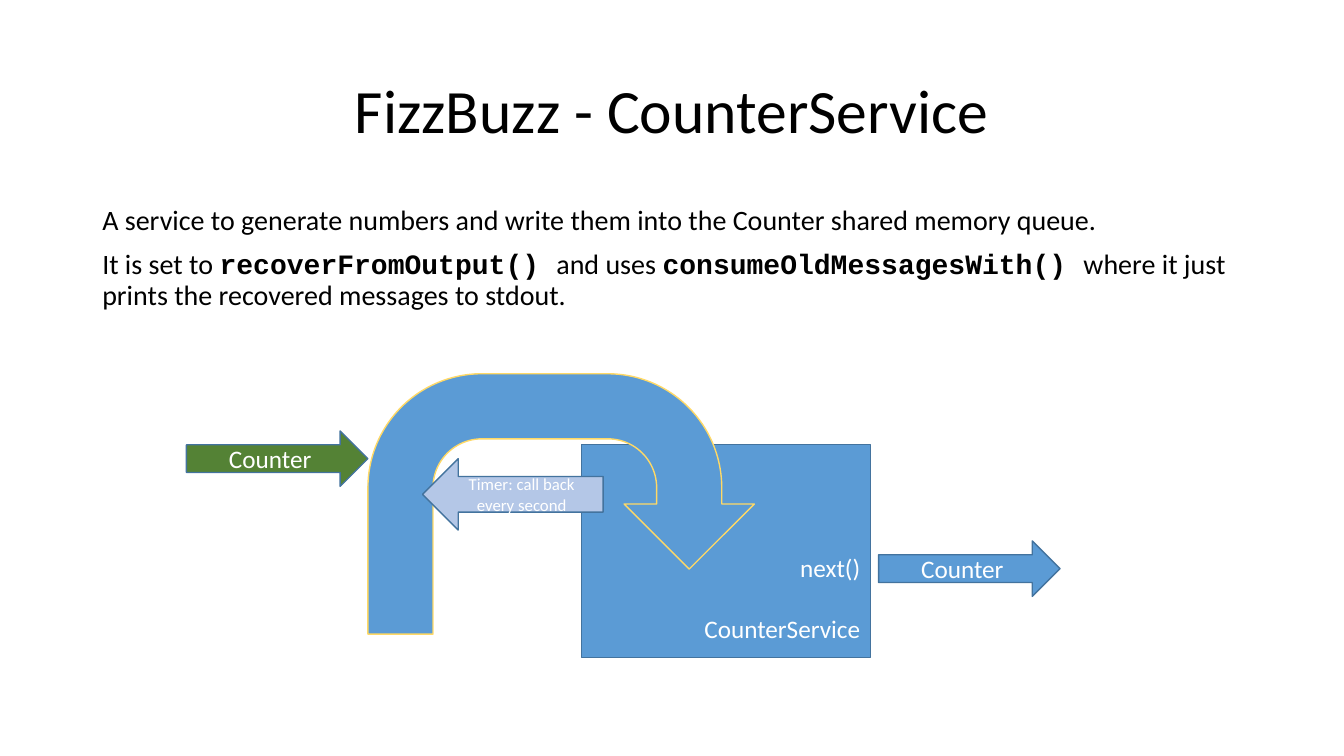
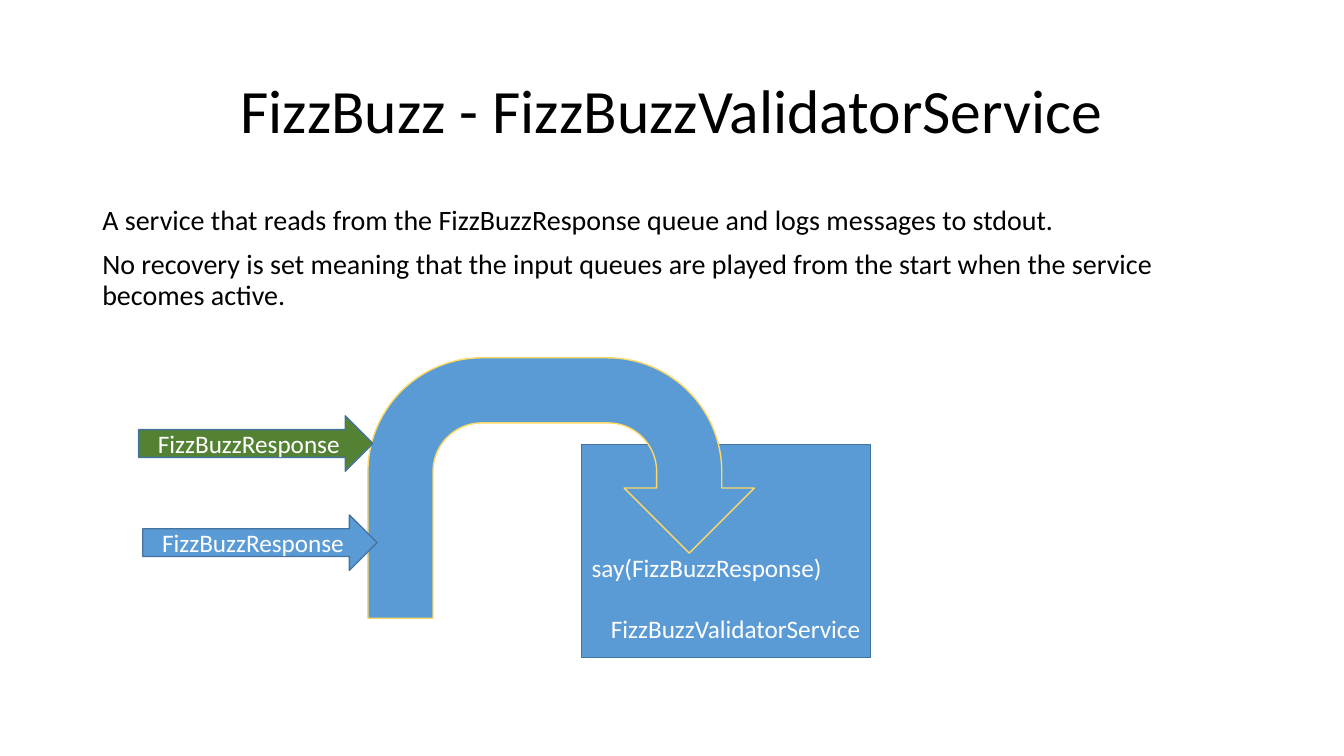
from dataclasses import dataclass

from pptx import Presentation
from pptx.dml.color import RGBColor
from pptx.enum.shapes import MSO_SHAPE
from pptx.enum.text import MSO_ANCHOR, PP_ALIGN
from pptx.util import Inches, Pt

COLUMNS, ROWS = 160, 90
CELL = Inches(1) / 12
TITLE_ONLY = 5

BLACK = RGBColor(0x00, 0x00, 0x00)
WHITE = RGBColor(0xFF, 0xFF, 0xFF)
BLUE = RGBColor(0x5B, 0x9B, 0xD5)
DARK_BLUE = RGBColor(0x43, 0x73, 0x9E)
PALE_BLUE = RGBColor(0xB4, 0xC7, 0xE7)
GREEN = RGBColor(0x54, 0x82, 0x35)
GOLD = RGBColor(0xFF, 0xD9, 0x66)

SANS, MONO = "Calibri", "Courier New"
LEFT, CENTER, RIGHT = PP_ALIGN.LEFT, PP_ALIGN.CENTER, PP_ALIGN.RIGHT
TOP, MIDDLE, BOTTOM = MSO_ANCHOR.TOP, MSO_ANCHOR.MIDDLE, MSO_ANCHOR.BOTTOM
RECTANGLE = MSO_SHAPE.RECTANGLE
RIGHT_ARROW, LEFT_ARROW = MSO_SHAPE.RIGHT_ARROW, MSO_SHAPE.LEFT_ARROW
U_TURN_ARROW = MSO_SHAPE.U_TURN_ARROW


@dataclass
class Box:
    left: float
    top: float
    width: float
    height: float

    def inner(self, column, row, width, height):
        return Box(self.left + column, self.top + row, width, height)

    def lengths(self):
        cells = (self.left, self.top, self.width, self.height)
        return [round(cell * CELL) for cell in cells]


TITLE_BOX = Box(11, 4.8, 138, 17.4)
BODY_BOX = Box(11, 24, 139.9, 57.1)
DIAGRAM_BOX = Box(16, 42, 112, 37)


def write(shape, paragraphs, size=18, color=WHITE, aligns=(CENTER,),
          anchor=MIDDLE, line_spacing=None, space_before=None):
    frame = shape.text_frame
    frame.word_wrap = True
    frame.vertical_anchor = anchor
    for index, spans in enumerate(paragraphs):
        para = frame.add_paragraph() if index else frame.paragraphs[0]
        para.alignment = aligns[index % len(aligns)]
        if line_spacing:
            para.line_spacing = line_spacing
        if space_before and index:
            para.space_before = Pt(space_before)
        for text, font in spans:
            span = para.add_run()
            span.text = text
            span.font.name = font
            span.font.bold = font == MONO
            span.font.size = Pt(size)
            span.font.color.rgb = color


def add_block(page, kind, box, fill=BLUE, line=DARK_BLUE):
    shape = page.shapes.add_shape(kind, *box.lengths())
    shape.shadow.inherit = False
    shape.fill.solid()
    shape.fill.fore_color.rgb = fill
    shape.line.color.rgb = line
    shape.line.width = Pt(1)
    return shape


def add_arrow(page, kind, box, label, fill=BLUE, size=18):
    arrow = add_block(page, kind, box, fill)
    write(arrow, [[(label, SANS)]], size=size)


def add_title(page, box, text):
    title = page.shapes.title
    title.left, title.top, title.width, title.height = box.lengths()
    write(title, [[(text, SANS)]], size=44, color=BLACK, line_spacing=0.9)


def add_body(page, box, paragraphs):
    body = page.shapes.add_textbox(*box.lengths())
    write(body, paragraphs, size=20, color=BLACK, aligns=(LEFT,), anchor=TOP,
          line_spacing=0.9, space_before=10)


def add_service(page, box, method, name, method_align):
    service = add_block(page, RECTANGLE, box)
    write(service, [[(method, SANS)], [(name, SANS)]],
          aligns=(method_align, RIGHT), anchor=BOTTOM, space_before=22)
    service.text_frame.margin_bottom = Inches(0.14)


def add_diagram(page, box, method, name, method_align, turn_row, arrows):
    add_service(page, box.inner(53.25, 10.95, 34.35, 25.3),
                method, name, method_align)
    add_block(page, U_TURN_ARROW, box.inner(27.8, turn_row, 46, 31), line=GOLD)
    for kind, place, label, fill, size in arrows:
        add_arrow(page, kind, box.inner(*place), label, fill, size)


def add_service_page(deck, title, paragraphs, diagram):
    page = deck.slides.add_slide(deck.slide_layouts[TITLE_ONLY])
    add_title(page, TITLE_BOX, title)
    add_body(page, BODY_BOX, paragraphs)
    add_diagram(page, DIAGRAM_BOX, **diagram)


PAGES = [
    dict(
        title="FizzBuzz - CounterService",
        paragraphs=[
            [("A service to generate numbers and write them into the "
              "Counter shared memory queue.", SANS)],
            [("It is set to ", SANS),
             ("recoverFromOutput() ", MONO),
             ("and uses ", SANS),
             ("consumeOldMessagesWith() ", MONO),
             ("where it just prints the recovered messages to stdout.", SANS)],
        ],
        diagram=dict(
            method="next()", name="CounterService", method_align=RIGHT,
            turn_row=2.5,
            arrows=[
                (LEFT_ARROW, (34.3, 12.6, 21.5, 8.5),
                 "Timer: call back every second", PALE_BLUE, 12),
                (RIGHT_ARROW, (88.6, 22.4, 21.6, 6.6), "Counter", BLUE, 18),
                (RIGHT_ARROW, (6.2, 9.3, 21.6, 6.6), "Counter", GREEN, 18),
            ],
        ),
    ),
    dict(
        title="FizzBuzz - FizzBuzzValidatorService",
        paragraphs=[
            [("A service that reads from the FizzBuzzResponse queue and "
              "logs messages to stdout.", SANS)],
            [("No recovery is set meaning that the input queues are played "
              "from the start when the service becomes active.", SANS)],
        ],
        diagram=dict(
            method="say(FizzBuzzResponse)", name="FizzBuzzValidatorService",
            method_align=LEFT, turn_row=0.6,
            arrows=[
                (RIGHT_ARROW, (1, 19.3, 27.9, 6.6),
                 "FizzBuzzResponse", BLUE, 18),
                (RIGHT_ARROW, (0.5, 7.5, 27.9, 6.6),
                 "FizzBuzzResponse", GREEN, 18),
            ],
        ),
    ),
]


def main():
    deck = Presentation()
    deck.slide_width = round(COLUMNS * CELL)
    deck.slide_height = round(ROWS * CELL)
    for content in PAGES:
        add_service_page(deck, **content)
    deck.save("out.pptx")


main()
